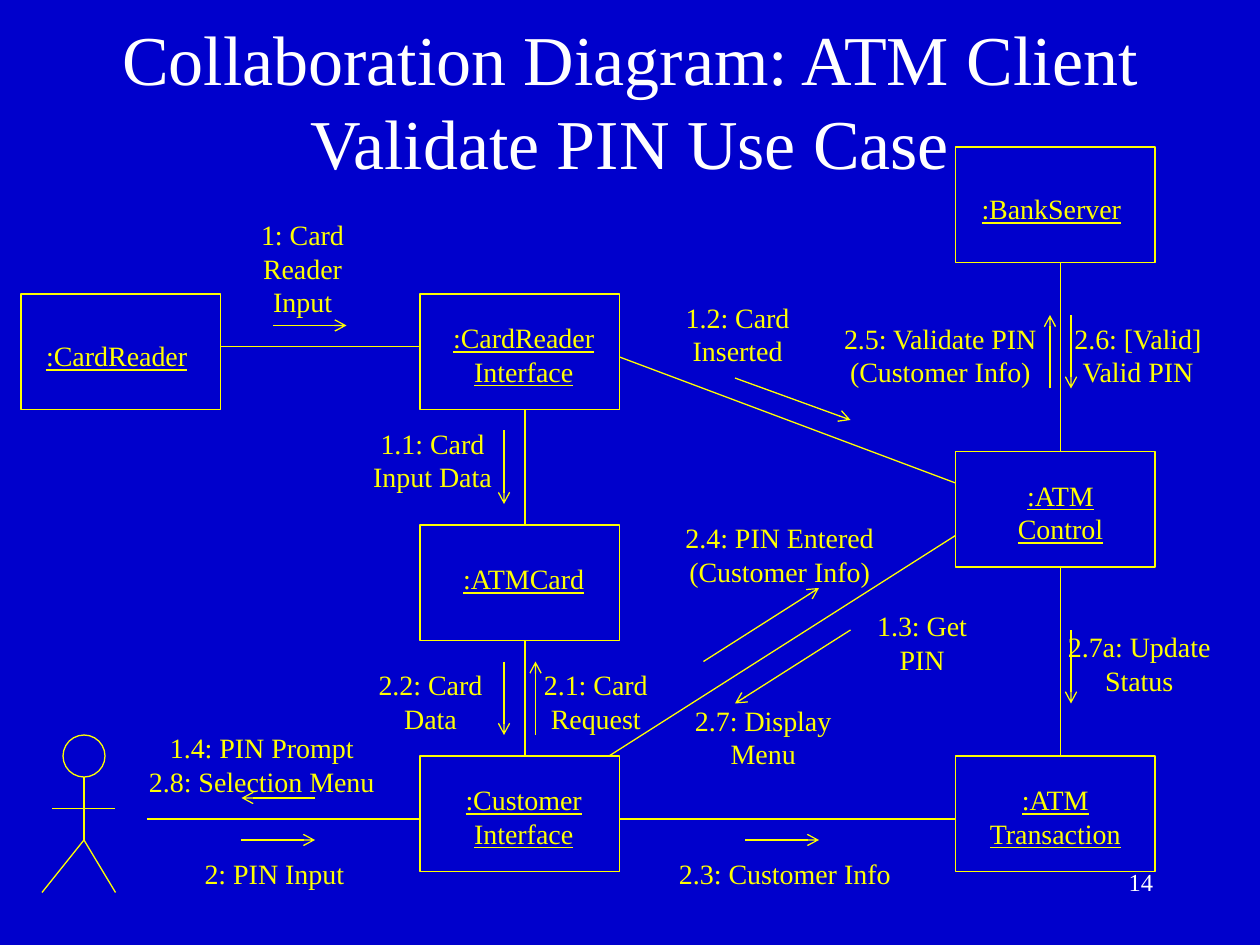
from dataclasses import dataclass

from lxml import etree
from pptx import Presentation
from pptx import util as u
from pptx.dml.color import RGBColor
from pptx.enum import shapes, text
from pptx.oxml.ns import qn

PX = 9525  # EMU per px, 96 px to the inch
BOX_W, BOX_H = 152, 88
SLACK = 3  # room on each side of a message, so that its lines never wrap


@dataclass(frozen=True)
class Theme:
    font: str = "Times New Roman"
    background: RGBColor = RGBColor(0x00, 0x00, 0xCC)
    ink: RGBColor = RGBColor(0xFF, 0xFF, 0x00)
    title: RGBColor = RGBColor(0xFF, 0xFF, 0xFF)
    title_pt: int = 40
    label_pt: int = 16
    number_pt: int = 14
    line_pt: float = 0.75


THEME = Theme()

# text, left, top, shift of the text from the centre (x, y)
OBJECTS = [
    (":BankServer", 728, 112, (-3, 3)),
    (":CardReader", 16, 224, (-3, 3)),
    (":CardReader\nInterface", 320, 224, (3, 2)),
    (":ATM\nControl", 728, 344, (4, 2)),
    (":ATMCard", 320, 400, (3, -3)),
    (":Customer\nInterface", 320, 576, (3, 2)),
    (":ATM\nTransaction", 728, 576, (0, 2)),
]

# x1, y1, x2, y2
LINKS = [
    (168, 264, 320, 264),
    (400, 312, 400, 400),
    (400, 488, 400, 576),
    (808, 432, 808, 576),
    (808, 200, 808, 344),
    (472, 272, 728, 368),
    (472, 624, 728, 624),
    (464, 576, 728, 408),
    (112, 624, 320, 624),
]

# text, left, top, width, arrow (1.3 and 2.7 share one)
MESSAGES = [
    ("1: Card\nReader\nInput", 189, 161, 83, (208, 248, 264, 248)),
    ("1.1: Card\nInput Data", 275, 320, 109, (384, 328, 384, 384)),
    ("1.2: Card\nInserted", 513, 224, 98, (560, 288, 648, 320)),
    ("1.3: Get\nPIN", 659, 459, 87, (648, 480, 560, 536)),
    ("1.4: PIN Prompt\n2.8: Selection Menu", 104, 552, 191, (240, 608, 184, 608)),
    ("2: PIN Input", 146, 648, 126, (184, 640, 240, 640)),
    ("2.1: Card\nRequest", 405, 504, 98, (408, 560, 408, 504)),
    ("2.2: Card\nData", 279, 504, 98, (384, 504, 384, 560)),
    ("2.3: Customer Info", 508, 648, 180, (568, 640, 624, 640)),
    ("2.4: PIN Entered\n(Customer Info)", 513, 392, 162, (536, 504, 624, 448)),
    ("2.5: Validate PIN\n(Customer Info)", 632, 240, 169, (800, 296, 800, 240)),
    ("2.6: [Valid]\nValid PIN", 808, 240, 118, (816, 240, 816, 296)),
    ("2.7: Display\nMenu", 520, 531, 123, None),
    ("2.7a: Update\nStatus", 804, 475, 128, (816, 480, 816, 536)),
]


def px(*values):
    return [u.Emu(v * PX) for v in values]


def write(tf, words, size, color, align=text.PP_ALIGN.CENTER, underline=None):
    tf.text = words
    for p in tf.paragraphs:
        p.alignment = align
        p.font.name = THEME.font
        p.font.size = u.Pt(size)
        p.font.color.rgb = color
        p.font.underline = underline


def add_title(slide, words):
    sp = slide.shapes.title
    sp.left, sp.top, sp.width, sp.height = px(72, 16, 816, 120)
    tf = sp.text_frame
    tf.auto_size = text.MSO_AUTO_SIZE.NONE
    tf.vertical_anchor = text.MSO_ANCHOR.MIDDLE
    write(tf, words, THEME.title_pt, THEME.title)


def add_outline(slide, kind, x, y, w, h):
    sp = slide.shapes.add_shape(kind, *px(x, y, w, h))
    sp.shadow.inherit = False
    sp.fill.background()
    sp.line.color.rgb = THEME.ink
    sp.line.width = u.Pt(THEME.line_pt)
    return sp


def add_object(slide, words, x, y, shift):
    sp = add_outline(slide, shapes.MSO_SHAPE.RECTANGLE, x, y, BOX_W, BOX_H)
    dx, dy = shift
    tf = sp.text_frame
    tf.margin_left, tf.margin_right = px(10 + dx, 10 - dx)
    tf.margin_top, tf.margin_bottom = px(5 + dy, 5 - dy)
    tf.vertical_anchor = text.MSO_ANCHOR.MIDDLE
    write(tf, words, THEME.label_pt, THEME.ink, underline=True)


def add_line(slide, ends, arrow=False):
    line = slide.shapes.add_connector(shapes.MSO_CONNECTOR.STRAIGHT, *px(*ends))
    line.line.color.rgb = THEME.ink
    line.line.width = u.Pt(THEME.line_pt)
    props = line._element.spPr
    if arrow:
        etree.SubElement(props.find(qn("a:ln")), qn("a:tailEnd"), type="arrow")
    etree.SubElement(props, qn("a:effectLst"))


def add_message(slide, words, x, y, w, arrow):
    lines = words.count("\n") + 1
    h = 10 + 51 * lines // 2
    box = slide.shapes.add_textbox(*px(x - SLACK, y, w + 2 * SLACK, h))
    tf = box.text_frame
    tf.word_wrap = False
    tf.auto_size = text.MSO_AUTO_SIZE.NONE
    write(tf, words, THEME.label_pt, THEME.ink)
    if arrow:
        add_line(slide, arrow, arrow=True)


def add_actor(slide, x, y):
    """Stick figure whose head is centred on x, with its top at y."""
    add_outline(slide, shapes.MSO_SHAPE.OVAL, x - 16, y, 32, 32)
    hip, foot = y + 80, y + 120
    add_line(slide, (x, y + 32, x, hip))
    add_line(slide, (x - 24, y + 56, x + 24, y + 56))
    add_line(slide, (x, hip, x + 24, foot))
    add_line(slide, (x, hip, x - 32, foot))


def add_page_number(slide, number):
    tf = slide.shapes.add_textbox(*px(688, 656, 200, 48)).text_frame
    tf.word_wrap = True
    write(tf, number, THEME.number_pt, THEME.title, text.PP_ALIGN.RIGHT)


def main():
    prs = Presentation()
    prs.slide_width, prs.slide_height = px(960, 720)
    slide = prs.slides.add_slide(prs.slide_layouts[5])
    slide.background.fill.solid()
    slide.background.fill.fore_color.rgb = THEME.background

    add_title(slide, "Collaboration Diagram: ATM Client Validate PIN Use Case")
    for item in OBJECTS:
        add_object(slide, *item)
    for ends in LINKS:
        add_line(slide, ends)
    add_actor(slide, 64, 560)
    for message in MESSAGES:
        add_message(slide, *message)
    add_page_number(slide, "14")
    prs.save("out.pptx")


if __name__ == "__main__":
    main()
